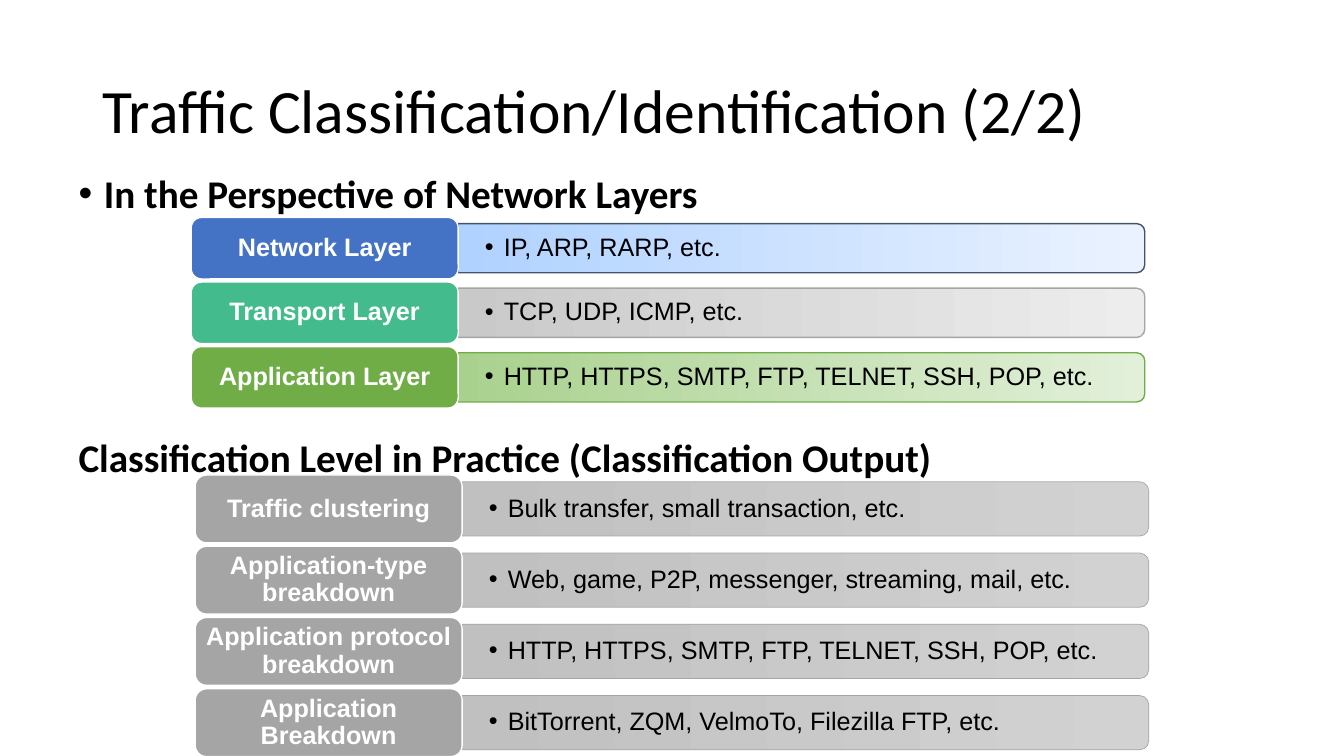
from dataclasses import dataclass

from lxml.etree import SubElement
from pptx import Presentation
from pptx.dml.color import RGBColor
from pptx.enum.shapes import MSO_SHAPE
from pptx.enum.text import MSO_ANCHOR, MSO_AUTO_SIZE, PP_ALIGN
from pptx.oxml.ns import qn
from pptx.util import Cm, Pt


@dataclass(frozen=True)
class Theme:
    heading_font: str = "Calibri"
    diagram_font: str = "Arial"
    title_size: int = 44
    heading_size: int = 28
    diagram_size: int = 18
    text: str = "000000"
    inverse: str = "FFFFFF"
    blue: tuple = ("4472C4", "44546A", "B0D2FF", "EAF2FF")
    teal: tuple = ("43BB8D", "A5A5A5", "C9C9C9", "EDEDED")
    green: tuple = ("70AD47", "70AD47", "A9D18E", "E2F0D9")
    gray: tuple = ("A5A5A5", "A5A5A5", "C0C0C0", "D2D2D2")


THEME = Theme()

NETWORK_LAYERS = [
    ("Network Layer", "IP, ARP, RARP, etc.", THEME.blue),
    ("Transport Layer", "TCP, UDP, ICMP, etc.", THEME.teal),
    ("Application Layer", "HTTP, HTTPS, SMTP, FTP, TELNET, SSH, POP, etc.", THEME.green),
]
CLASSIFICATION_LEVELS = [
    ("Traffic clustering", "Bulk transfer, small transaction, etc.", THEME.gray),
    ("Application-type breakdown", "Web, game, P2P, messenger, streaming, mail, etc.", THEME.gray),
    ("Application protocol breakdown", "HTTP, HTTPS, SMTP, FTP, TELNET, SSH, POP, etc.", THEME.gray),
    ("Application Breakdown", "BitTorrent, ZQM, VelmoTo, Filezilla FTP, etc.", THEME.gray),
]


def place(part, left, top, width, height):
    part.left, part.top = Cm(left), Cm(top)
    part.width, part.height = Cm(width), Cm(height)


def add_bullet(paragraph, indent):
    properties = paragraph._p.get_or_add_pPr()
    properties.set("marL", str(Cm(indent)))
    properties.set("indent", str(-Cm(indent)))
    SubElement(properties, qn("a:buFont"), typeface="Arial")
    SubElement(properties, qn("a:buChar"), char="•")


def write(frame, wording, font, size, color, bold=False, align=PP_ALIGN.LEFT,
          anchor=MSO_ANCHOR.MIDDLE, insets=(0.25, 0.13), spacing=0.9, indent=0):
    frame.word_wrap = True
    frame.auto_size = MSO_AUTO_SIZE.NONE
    frame.vertical_anchor = anchor
    frame.margin_left = frame.margin_right = Cm(insets[0])
    frame.margin_top = frame.margin_bottom = Cm(insets[1])
    paragraph = frame.paragraphs[0]
    paragraph.alignment = align
    paragraph.line_spacing = spacing
    paragraph.space_before = Pt(0)
    if indent:
        add_bullet(paragraph, indent)
    run = paragraph.add_run()
    run.text = wording
    run.font.name = font
    run.font.size = Pt(size)
    run.font.bold = bold
    run.font.color.rgb = RGBColor.from_string(color)


def add_title(slide, left, top, width, height):
    title = slide.shapes.title
    place(title, left, top, width, height)
    write(title.text_frame, "Traffic Classification/Identification (2/2)",
          THEME.heading_font, THEME.title_size, THEME.text)


def add_perspective(slide, left, top, width, height):
    perspective = slide.placeholders[1]
    place(perspective, left, top, width, height)
    write(perspective.text_frame, "In the Perspective of Network Layers",
          THEME.heading_font, THEME.heading_size, THEME.text, bold=True,
          anchor=MSO_ANCHOR.TOP, indent=0.64)


def add_practice_heading(slide, left, top, width, height):
    heading = slide.shapes.add_textbox(Cm(left), Cm(top), Cm(width), Cm(height))
    write(heading.text_frame, "Classification Level in Practice (Classification Output)",
          THEME.heading_font, THEME.heading_size, THEME.text, bold=True,
          anchor=MSO_ANCHOR.TOP, spacing=1.0)


def add_example_bar(slide, left, top, width, height, examples, palette, outline):
    _, edge, dark, light = palette
    bar = slide.shapes.add_shape(
        MSO_SHAPE.ROUND_2_SAME_RECTANGLE,
        Cm(left + (width - height) / 2), Cm(top + (height - width) / 2),
        Cm(height), Cm(width))
    bar.rotation = 90
    bar.shadow.inherit = False
    bar.fill.gradient()
    bar.fill.gradient_angle = 270
    for stop, color in zip(bar.fill.gradient_stops, (light, dark)):
        stop.color.rgb = RGBColor.from_string(color)
    bar.line.color.rgb = RGBColor.from_string(edge)
    bar.line.width = Pt(outline)
    caption = slide.shapes.add_textbox(Cm(left), Cm(top), Cm(width), Cm(height))
    write(caption.text_frame, examples, THEME.diagram_font, THEME.diagram_size,
          THEME.text, insets=(0.67, 0.36), indent=0.48)


def add_level_label(slide, left, top, width, height, level, palette):
    label = slide.shapes.add_shape(
        MSO_SHAPE.ROUNDED_RECTANGLE, Cm(left), Cm(top), Cm(width), Cm(height))
    label.shadow.inherit = False
    label.fill.solid()
    label.fill.fore_color.rgb = RGBColor.from_string(palette[0])
    label.line.color.rgb = RGBColor.from_string(THEME.inverse)
    label.line.width = Pt(1)
    write(label.text_frame, level, THEME.diagram_font, THEME.diagram_size,
          THEME.inverse, bold=True, align=PP_ALIGN.CENTER, insets=(0.15, 0.1))


def add_level_rows(slide, left, top, width, row_height, levels, outline):
    label_width = width * 0.28
    bar_height = row_height * 0.8
    for index, (level, examples, palette) in enumerate(levels):
        row_top = top + index * row_height * 1.05
        add_example_bar(slide, left + label_width, row_top + row_height * 0.1,
                        width - label_width, bar_height, examples, palette, outline)
        add_level_label(slide, left, row_top, label_width, row_height, level, palette)


def main():
    presentation = Presentation()
    presentation.slide_width = Cm(33.87)
    presentation.slide_height = Cm(19.05)
    slide = presentation.slides.add_slide(presentation.slide_layouts[1])
    add_title(slide, 2.34, 1.02, 29.21, 3.68)
    add_perspective(slide, 1.73, 4.27, 29.21, 12.09)
    add_level_rows(slide, 4.82, 5.48, 24.03, 1.55, NETWORK_LAYERS, 1)
    add_level_rows(slide, 4.92, 11.97, 24.03, 1.71, CLASSIFICATION_LEVELS, 0.5)
    add_practice_heading(slide, 1.73, 10.8, 30.4, 2.64)
    presentation.save("out.pptx")


if __name__ == "__main__":
    main()
